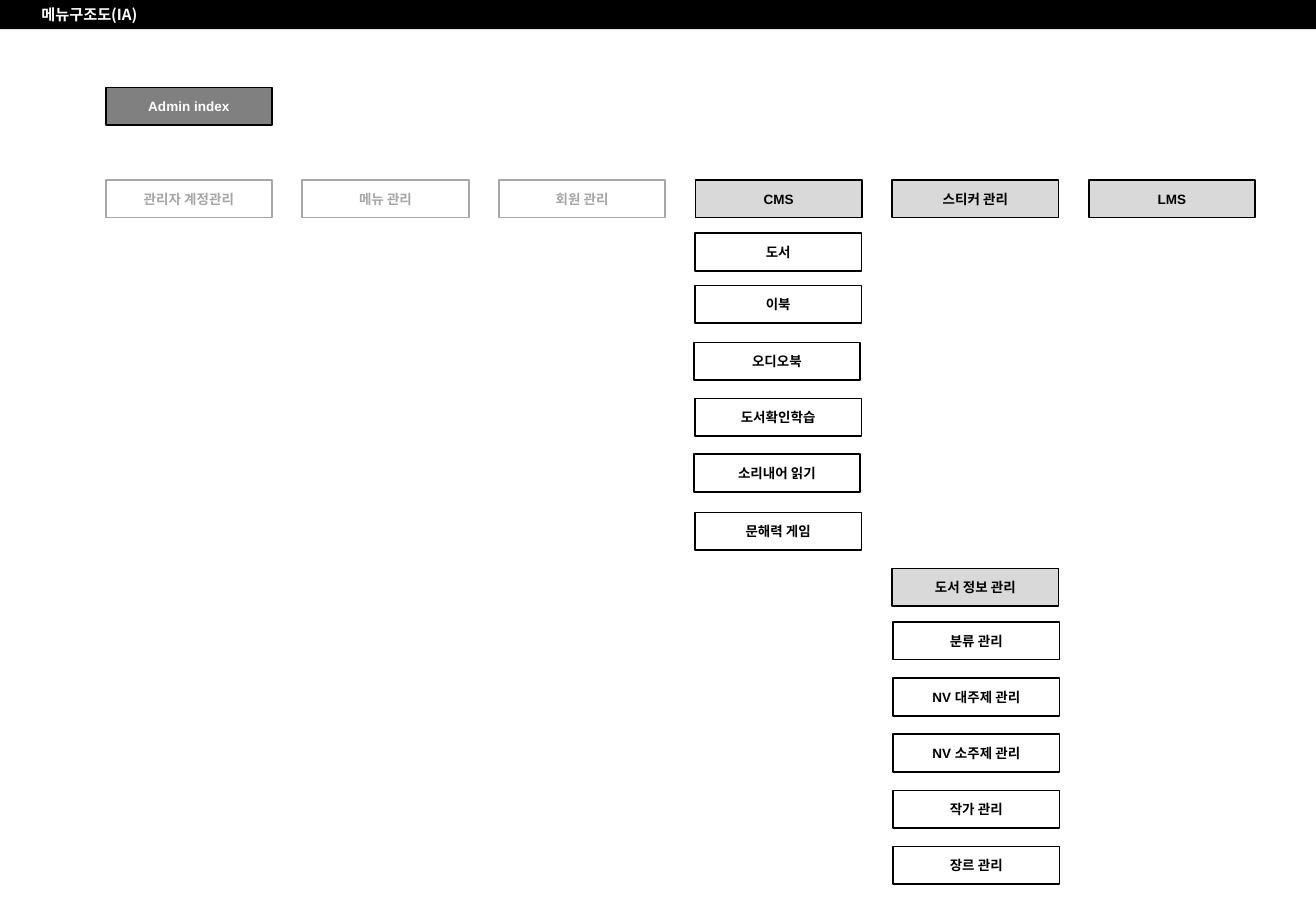
from dataclasses import dataclass
from typing import Optional

from lxml import etree
from pptx import Presentation
from pptx.dml.color import RGBColor
from pptx.enum import shapes, text
from pptx.oxml import ns
from pptx.util import Inches, Pt

BLACK = RGBColor(0x00, 0x00, 0x00)
WHITE = RGBColor(0xFF, 0xFF, 0xFF)
DARK_GRAY = RGBColor(0x80, 0x80, 0x80)
MUTED_GRAY = RGBColor(0xA6, 0xA6, 0xA6)
LIGHT_GRAY = RGBColor(0xD9, 0xD9, 0xD9)

LATIN_FONT = "Arial"
KOREAN_FONT = "Noto Sans CJK KR"

SLIDE_WIDTH, SLIDE_HEIGHT = 10.83, 7.5
BOX_WIDTH, BOX_HEIGHT = 1.37, 0.31
FIRST_COLUMN, LAST_COLUMN = 0.87, 8.96
INDEX_TOP, SECTION_TOP, BOOK_INFO_TOP = 0.72, 1.48, 4.68
FIRST_BOOK_ITEM, LAST_BOOK_ITEM = 5.12, 6.97


@dataclass(frozen=True)
class BoxStyle:
    fill: Optional[RGBColor]
    line: RGBColor
    ink: RGBColor


@dataclass(frozen=True)
class MenuBox:
    label: str
    left: float
    top: float
    style: BoxStyle


INDEX = BoxStyle(DARK_GRAY, BLACK, WHITE)
SECTION = BoxStyle(LIGHT_GRAY, BLACK, BLACK)
INACTIVE = BoxStyle(None, MUTED_GRAY, MUTED_GRAY)
ITEM = BoxStyle(WHITE, BLACK, BLACK)

SECTIONS = [
    ("관리자 계정관리", INACTIVE),
    ("메뉴 관리", INACTIVE),
    ("회원 관리", INACTIVE),
    ("CMS", SECTION),
    ("스티커 관리", SECTION),
    ("LMS", SECTION),
]
CMS_ITEMS = [
    ("도서", 5.72, 1.92),
    ("이북", 5.72, 2.35),
    ("오디오북", 5.71, 2.82),
    ("도서확인학습", 5.72, 3.28),
    ("소리내어 읽기", 5.71, 3.74),
    ("문해력 게임", 5.72, 4.22),
]
BOOK_INFO_ITEMS = ["분류 관리", "NV 대주제 관리", "NV 소주제 관리", "작가 관리", "장르 관리"]


def spread(first: float, last: float, count: int) -> list[float]:
    """Return evenly spaced positions from first to last."""
    return [first + (last - first) * i / (count - 1) for i in range(count)]


def menu_boxes() -> list[MenuBox]:
    columns = spread(FIRST_COLUMN, LAST_COLUMN, len(SECTIONS))
    book_tops = spread(FIRST_BOOK_ITEM, LAST_BOOK_ITEM, len(BOOK_INFO_ITEMS))
    return [
        MenuBox("Admin index", FIRST_COLUMN, INDEX_TOP, INDEX),
        *(MenuBox(label, left, SECTION_TOP, style)
          for (label, style), left in zip(SECTIONS, columns)),
        *(MenuBox(label, left, top, ITEM) for label, left, top in CMS_ITEMS),
        MenuBox("도서 정보 관리", columns[4], BOOK_INFO_TOP, SECTION),
        *(MenuBox(label, 7.35, top, ITEM)
          for label, top in zip(BOOK_INFO_ITEMS, book_tops)),
    ]


def add_bold_run(paragraph, wording: str, size: float, latin: str, ink: RGBColor) -> None:
    run = paragraph.add_run()
    run.text = wording
    run.font.size = Pt(size)
    run.font.bold = True
    run.font.name = latin
    run.font.color.rgb = ink
    east_asian = etree.SubElement(run.font._element, ns.qn("a:ea"))
    east_asian.set("typeface", KOREAN_FONT)


def set_margins(frame, horizontal: float, vertical: float) -> None:
    frame.margin_left = frame.margin_right = Inches(horizontal)
    frame.margin_top = frame.margin_bottom = Inches(vertical)


def add_header(slide) -> None:
    bar = slide.shapes.add_shape(
        shapes.MSO_SHAPE.RECTANGLE, 0, 0, Inches(SLIDE_WIDTH), Inches(0.24))
    bar.shadow.inherit = False
    bar.fill.solid()
    bar.fill.fore_color.rgb = BLACK
    bar.line.fill.background()

    title = slide.shapes.add_textbox(
        Inches(0.22), Inches(-0.03), Inches(1.09), Inches(0.31))
    frame = title.text_frame
    frame.word_wrap = False
    frame.auto_size = text.MSO_AUTO_SIZE.SHAPE_TO_FIT_TEXT
    set_margins(frame, 0.12, 0.08)
    heading = frame.paragraphs[0]
    heading.space_after = Pt(5.5)
    add_bold_run(heading, "메뉴구조도(IA)", 9, KOREAN_FONT, WHITE)


def add_menu_box(slide, box: MenuBox) -> None:
    rectangle = slide.shapes.add_shape(
        shapes.MSO_SHAPE.RECTANGLE, Inches(box.left), Inches(box.top),
        Inches(BOX_WIDTH), Inches(BOX_HEIGHT))
    rectangle.shadow.inherit = False
    if box.style.fill is None:
        rectangle.fill.background()
    else:
        rectangle.fill.solid()
        rectangle.fill.fore_color.rgb = box.style.fill
    rectangle.line.color.rgb = box.style.line
    rectangle.line.width = Pt(1)

    frame = rectangle.text_frame
    frame.word_wrap = True
    frame.vertical_anchor = text.MSO_ANCHOR.MIDDLE
    set_margins(frame, 0.04, 0.04)
    label = frame.paragraphs[0]
    label.alignment = text.PP_ALIGN.CENTER
    add_bold_run(label, box.label, 8, LATIN_FONT, box.style.ink)


def main() -> None:
    presentation = Presentation()
    presentation.slide_width = Inches(SLIDE_WIDTH)
    presentation.slide_height = Inches(SLIDE_HEIGHT)
    slide = presentation.slides.add_slide(presentation.slide_layouts[6])
    add_header(slide)
    for box in menu_boxes():
        add_menu_box(slide, box)
    presentation.save("out.pptx")


if __name__ == "__main__":
    main()
